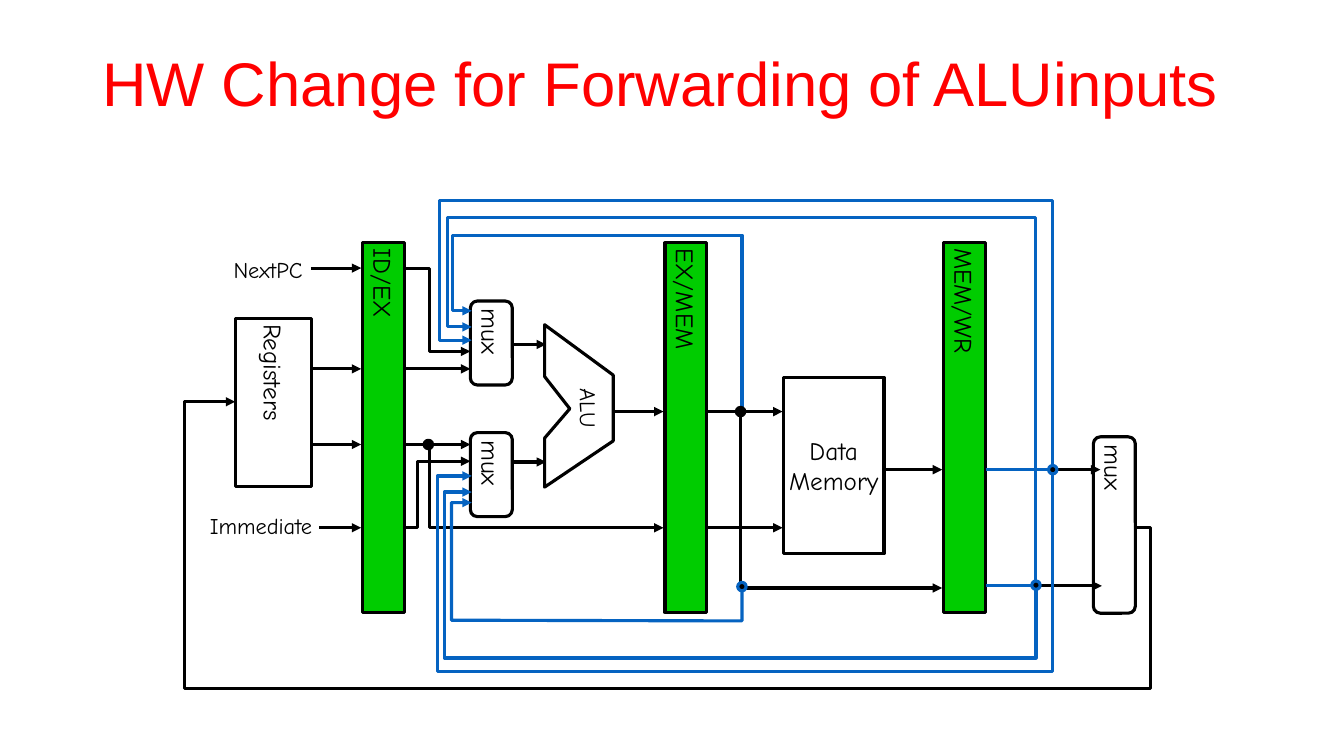
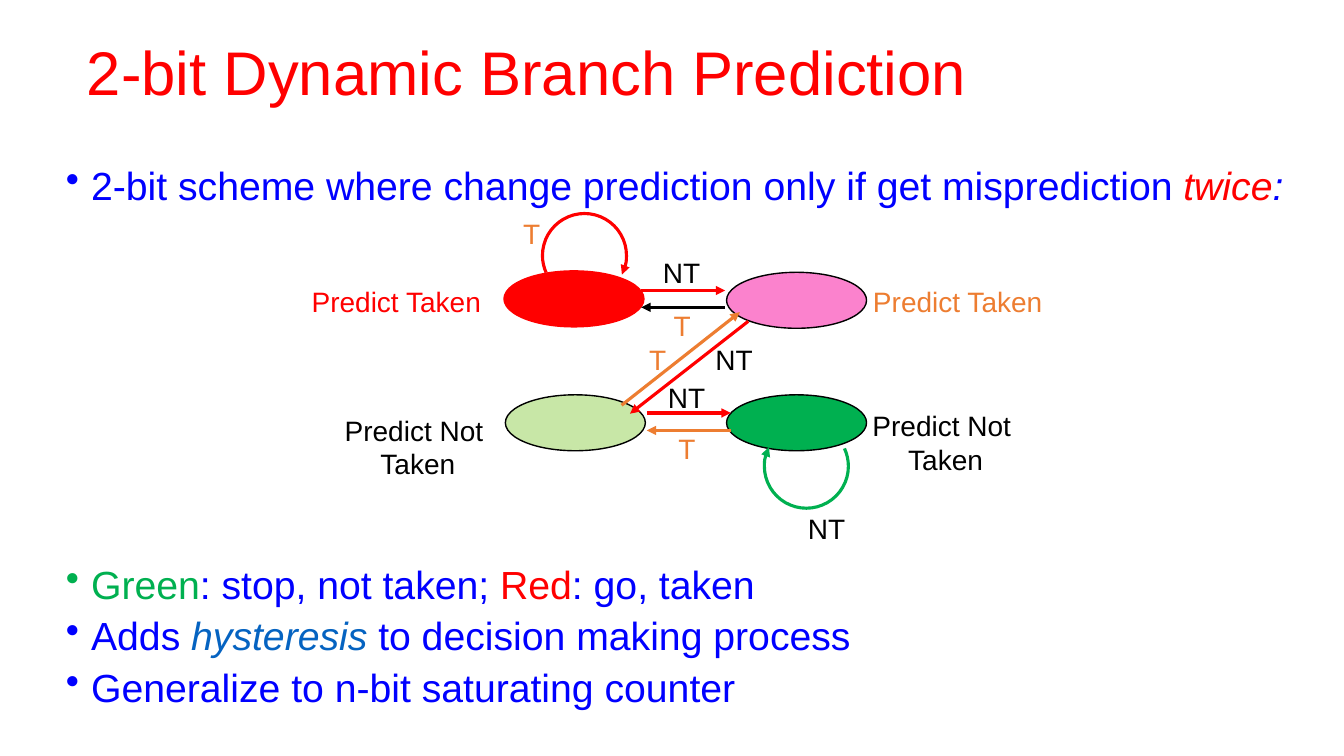
"""Build two slides on ALU forwarding hardware and 2-bit branch prediction."""
from lxml.etree import SubElement
from pptx import Presentation
from pptx.dml.color import RGBColor
from pptx.enum.shapes import MSO_CONNECTOR, MSO_SHAPE as SHAPE
from pptx.enum.text import MSO_ANCHOR as ANCHOR, PP_ALIGN as ALIGN
from pptx.oxml.ns import qn
from pptx.util import Pt

rgb = RGBColor.from_string
BLACK, WHITE, RED, ORANGE = "000000", "FFFFFF", "FF0000", "ED7D31"
BLUE, LINK, GREEN, BAR = "0000FF", "0563C1", "00B050", "00CC00"
TITLE = {"name": "Arial", "size": Pt(44)}
BODY = {"name": "Arial", "size": Pt(28)}
LABEL = {"name": "Arial", "size": Pt(20)}
PART = {"name": "Comic Neue", "size": Pt(18)}
SIGNAL = {"name": "Comic Neue", "size": Pt(16)}


def write(tf, lines, fmt, align=ALIGN.LEFT, spacing=None, bullet=False):
    """Fill a text frame; each line is a list of (text, colour, italic) runs."""
    for i, runs in enumerate(lines):
        p = tf.paragraphs[0] if i == 0 else tf.add_paragraph()
        p.alignment = align
        if bullet:
            pPr = p._p.get_or_add_pPr()
            pPr.set("marL", str(Pt(18)))
            pPr.set("indent", str(Pt(-18)))
            SubElement(pPr, qn("a:buChar")).set("char", "•")
            p.space_before = Pt(10 if i else 0)
        if spacing:
            p.line_spacing = spacing
        for text, color, italic in runs:
            r = p.add_run()
            r.text = text
            for key, value in {**fmt, "italic": italic}.items():
                setattr(r.font, key, value)
            r.font.color.rgb = rgb(color)


def stroke(sp, color, width=2.25, arrow=False):
    """Give a shape or connector a plain line without shadow."""
    sp.line.color.rgb = rgb(color)
    sp.line.width = Pt(width)
    spPr = sp._element.spPr
    if arrow:
        SubElement(spPr.find(qn("a:ln")), qn("a:tailEnd")).set("type", "triangle")
    SubElement(spPr, qn("a:effectLst"))


prs = Presentation()
prs.slide_width, prs.slide_height = Pt(960), Pt(540)
slides = []
for title, x, y, w, h in [
    ("HW Change for Forwarding of ALUinputs", 66, 29, 828, 65),
    ("2-bit Dynamic Branch Prediction", 55, 9, 761, 90),
]:
    s = prs.slides.add_slide(prs.slide_layouts[6])
    tf = s.shapes.add_textbox(Pt(x), Pt(y), Pt(w), Pt(h)).text_frame
    tf.word_wrap = True
    tf.vertical_anchor = ANCHOR.MIDDLE
    write(tf, [[(title, RED, False)]], TITLE, spacing=0.9)
    slides.append(s)
pipeline, predictor = slides

s = pipeline
for kind, x, y, w, h, fill, lines in [
    (SHAPE.RECTANGLE, 259, 173.5, 30, 264, BAR, ["ID/EX"]),
    (SHAPE.RECTANGLE, 475, 173.5, 30, 264, BAR, ["EX/MEM"]),
    (SHAPE.RECTANGLE, 674, 173.5, 30, 264, BAR, ["MEM/WR"]),
    (SHAPE.RECTANGLE, 168.5, 227.5, 54, 120, None, ["Registers"]),
    (SHAPE.RECTANGLE, 559.5, 269.5, 72, 126, None, ["Data", "Memory"]),
    (SHAPE.ROUNDED_RECTANGLE, 336, 215, 30, 60, None, ["mux"]),
    (SHAPE.ROUNDED_RECTANGLE, 336, 309, 30, 60, None, ["mux"]),
    (SHAPE.ROUNDED_RECTANGLE, 781, 312, 30, 126, None, ["mux"]),
]:
    sp = s.shapes.add_shape(kind, Pt(x), Pt(y), Pt(w), Pt(h))
    if fill:
        sp.fill.solid()
        sp.fill.fore_color.rgb = rgb(fill)
    else:
        sp.fill.background()
    stroke(sp, BLACK)
    tf = sp.text_frame
    tf.vertical_anchor = ANCHOR.MIDDLE
    for side in ("left", "top", "right", "bottom"):
        setattr(tf, f"margin_{side}", Pt(4))
    vertical = len(lines) == 1
    tf.word_wrap = vertical
    if vertical:
        tf._txBody.bodyPr.set("vert", "eaVert")
    write(tf, [[(t, BLACK, False)] for t in lines], PART,
          ALIGN.LEFT if vertical else ALIGN.CENTER)

alu = [(389, 232), (438, 268), (438, 315), (389, 348), (389, 313), (407, 292), (389, 269)]
fb = s.shapes.build_freeform(Pt(alu[0][0]), Pt(alu[0][1]))
fb.add_line_segments([(Pt(x), Pt(y)) for x, y in alu[1:]], close=True)
sp = fb.convert_to_shape()
sp.fill.background()
stroke(sp, BLACK)

for text, x, y, w, angle in [
    ("ALU", 397, 278, 47, 90),
    ("NextPC", 156, 179, 71, 0),
    ("Immediate", 139, 362, 95, 0),
]:
    sp = s.shapes.add_textbox(Pt(x), Pt(y), Pt(w), Pt(27))
    sp.rotation = angle
    sp.text_frame.word_wrap = False
    sp.text_frame.vertical_anchor = ANCHOR.MIDDLE
    write(sp.text_frame, [[(text, BLACK, False)]], SIGNAL, ALIGN.CENTER)

straight = [
    (366, 390, 246), (366, 390, 330), (222, 258, 191.5), (222, 258, 263.5),
    (222, 258, 317.5), (228, 258, 377), (289, 336, 263.5), (289, 336, 317.5),
    (438, 474, 294), (505, 559, 294), (505, 559, 377), (631, 673, 335.5),
    (704, 786, 335.5), (705, 787, 418.5),
]
for x1, x2, y in straight:
    sp = s.shapes.add_connector(MSO_CONNECTOR.STRAIGHT, Pt(x1), Pt(y), Pt(x2), Pt(y))
    stroke(sp, BLACK, arrow=True)

for color, pts in [
    (BLACK, [(289, 191.5), (307, 191.5), (307, 251), (336, 251)]),
    (BLACK, [(289, 377), (298, 377), (298, 329.5), (336, 329.5)]),
    (BLACK, [(307, 317.5), (307, 377), (474, 377)]),
    (BLACK, [(529, 294), (529, 420), (673, 420)]),
    (BLACK, [(810, 377), (822, 377), (822, 492), (132, 492), (132, 287), (168, 287)]),
    (LINK, [(530, 420), (530, 443.5), (322.5, 443), (322.5, 359), (337, 359)]),
    (LINK, [(752, 335.5), (752, 143), (314, 143), (314, 243), (337, 243)]),
    (LINK, [(704, 418.5), (740, 418.5), (740, 470), (317.5, 470), (317.5, 351.5), (337, 351.5)]),
    (LINK, [(704, 335.5), (752, 335.5), (752, 479.5), (312.5, 479.5), (312.5, 340), (337, 340)]),
    (LINK, [(530, 294), (530, 168), (323.5, 168), (323.5, 222), (337, 222)]),
    (LINK, [(740, 420), (740, 155.5), (319.5, 155.5), (319.5, 233.5), (337, 233.5)]),
]:
    fb = s.shapes.build_freeform(Pt(pts[0][0]), Pt(pts[0][1]))
    fb.add_line_segments([(Pt(x), Pt(y)) for x, y in pts[1:]], close=False)
    sp = fb.convert_to_shape()
    sp.fill.background()
    stroke(sp, color, arrow=True)

for x, y, color in [
    (529, 294, BLACK), (306, 317.5, BLACK),
    (530, 419, LINK), (740, 418, LINK), (752, 335.5, LINK),
]:
    sp = s.shapes.add_shape(SHAPE.OVAL, Pt(x - 3), Pt(y - 3), Pt(6), Pt(6))
    sp.fill.solid()
    sp.fill.fore_color.rgb = rgb(BLACK)
    stroke(sp, color)

s = predictor
for y, h, lines in [
    (118, 45, [
        [("2-bit scheme where change prediction only if get misprediction ", BLUE, False),
         ("twice", RED, True), (":", BLUE, True)],
    ]),
    (403, 117, [
        [("Green", GREEN, False), (": stop, not taken; ", BLUE, False),
         ("Red", RED, False), (": go, taken", BLUE, False)],
        [("Adds ", BLUE, False), ("hysteresis", LINK, True),
         (" to decision making process", BLUE, False)],
        [("Generalize to n-bit saturating counter", BLUE, False)],
    ]),
]:
    tf = s.shapes.add_textbox(Pt(40), Pt(y), Pt(896), Pt(h)).text_frame
    tf.word_wrap = True
    write(tf, lines, BODY, spacing=0.8, bullet=True)

for x, y, fill, line, alpha in [
    (360, 193.5, RED, RED, 100), (519, 194.5, "F9079D", BLACK, 50),
    (361, 282, "92D050", BLACK, 50), (519, 282, GREEN, BLACK, 100),
]:
    sp = s.shapes.add_shape(SHAPE.OVAL, Pt(x), Pt(y), Pt(100), Pt(40))
    sp.fill.solid()
    sp.fill.fore_color.rgb = rgb(fill)
    if alpha < 100:
        clr = sp._element.spPr.find(qn("a:solidFill")).find(qn("a:srgbClr"))
        SubElement(clr, qn("a:alpha")).set("val", str(alpha * 1000))
    stroke(sp, line, 1)

for x, y, start, end, color in [(387.5, 152.5, 156, 27, RED), (546, 303, 335, 207, GREEN)]:
    sp = s.shapes.add_shape(SHAPE.ARC, Pt(x), Pt(y), Pt(60), Pt(60))
    sp.adjustments[0], sp.adjustments[1] = start * 0.6, end * 0.6
    sp.fill.background()
    stroke(sp, color, arrow=True)

for x1, y1, x2, y2, color in [
    (458, 207.5, 518, 207.5, RED), (518, 219.5, 458, 219.5, BLACK),
    (462, 295, 522, 295, RED), (522, 307.5, 462, 307.5, ORANGE),
    (444, 289.5, 528.5, 223, ORANGE), (534.5, 229.5, 450, 295.5, RED),
]:
    sp = s.shapes.add_connector(MSO_CONNECTOR.STRAIGHT, Pt(x1), Pt(y1), Pt(x2), Pt(y2))
    stroke(sp, color, arrow=True)

for lines, x, y, w, color in [
    (["T"], 366.5, 151, 27, ORANGE), (["T"], 474, 217, 27, ORANGE),
    (["T"], 456.5, 241, 27, ORANGE), (["T"], 477.5, 304.5, 27, ORANGE),
    (["NT"], 466.5, 179, 42, BLACK), (["NT"], 504, 241, 42, BLACK),
    (["NT"], 470, 268, 42, BLACK), (["NT"], 570, 361.5, 42, BLACK),
    (["Predict Taken"], 215.5, 199.5, 136, RED),
    (["Predict Taken"], 616.5, 199.5, 136, ORANGE),
    (["Predict Not ", "Taken"], 238.5, 291.5, 120, BLACK),
    (["Predict Not ", "Taken"], 615.5, 288.5, 120, BLACK),
]:
    tf = s.shapes.add_textbox(Pt(x), Pt(y), Pt(w), Pt(7 + 24 * len(lines))).text_frame
    tf.word_wrap = False
    write(tf, [[(t, color, False)] for t in lines], LABEL,
          ALIGN.CENTER if len(lines) > 1 else ALIGN.LEFT)

prs.save("out.pptx")
